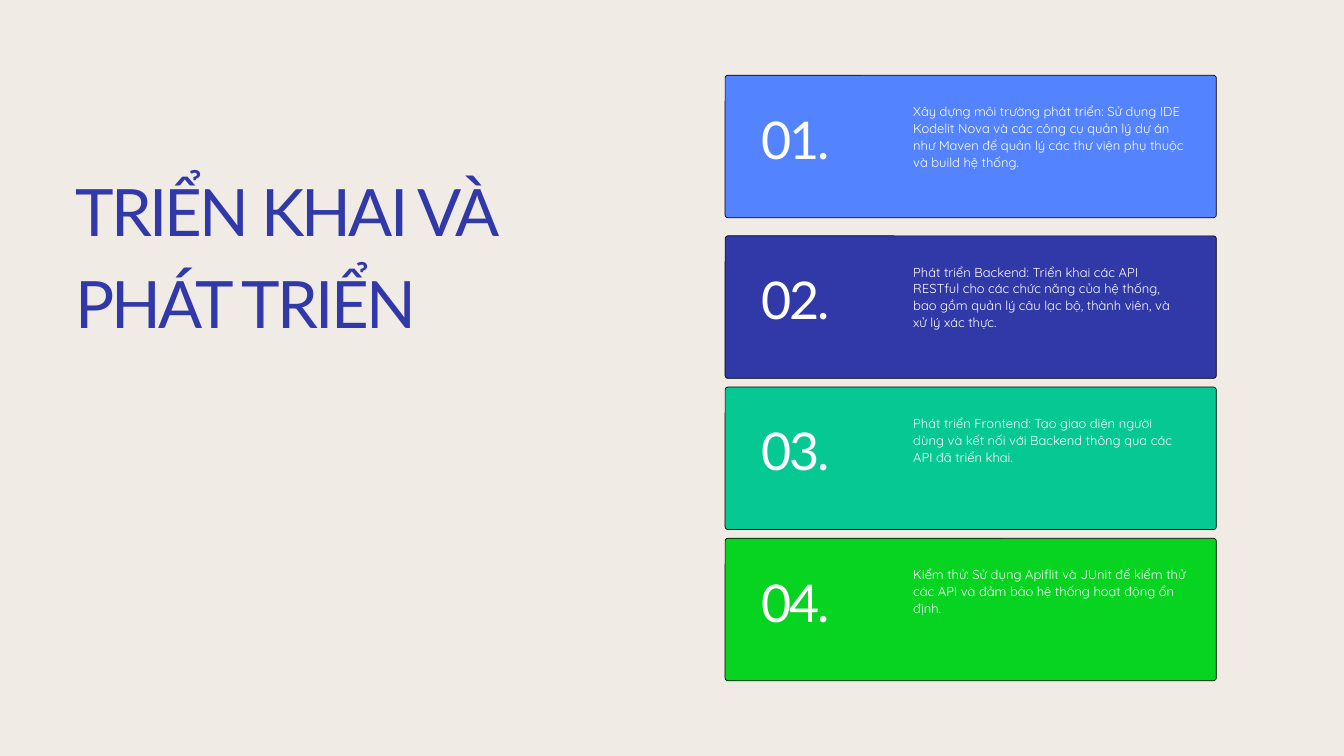
from dataclasses import dataclass

import pptx
import pptx.dml.color
import pptx.enum.shapes
import pptx.enum.text
import pptx.util


@dataclass(frozen=True)
class Theme:
    background: str = "F1EBE5"
    title: str = "3139A8"
    card_text: str = "FFFFFF"
    outline: str = "000000"
    card_fills: tuple = ("5383FF", "3139A8", "06C892", "06D421")
    heading_font: str = "Lato"
    body_font: str = "Quicksand"
    title_size: float = 70
    number_size: float = 55.7
    body_size: float = 13.9


COLUMNS, ROWS = 20, 11.25
CARD_LEFT, CARD_WIDTH, CARD_HEIGHT = 10.79, 7.31, 2.12
CARD_TOPS = (1.12, 3.51, 5.76, 8.01)
STEPS = (
    "Xây dựng môi trường phát triển: Sử dụng IDE Kodelit Nova và các công cụ quản lý dự án "
    "như Maven để quản lý các thư viện phụ thuộc và build hệ thống.",
    "Phát triển Backend: Triển khai các API RESTful cho các chức năng của hệ thống, "
    "bao gồm quản lý câu lạc bộ, thành viên, và xử lý xác thực.",
    "Phát triển Frontend: Tạo giao diện người dùng và kết nối với Backend thông qua các "
    "API đã triển khai.",
    "Kiểm thử: Sử dụng Apiflit và JUnit để kiểm thử các API và đảm bảo hệ thống hoạt động "
    "ổn định.",
)


def color(value):
    return pptx.dml.color.RGBColor.from_string(value)


def write_text(shape, text, *, font, size, fill, line_height, tracking=0):
    frame = shape.text_frame
    frame.word_wrap = True
    frame.auto_size = pptx.enum.text.MSO_AUTO_SIZE.SHAPE_TO_FIT_TEXT
    frame.vertical_anchor = pptx.enum.text.MSO_ANCHOR.TOP
    frame.margin_left = frame.margin_right = frame.margin_top = frame.margin_bottom = 0
    paragraph = frame.paragraphs[0]
    paragraph.alignment = pptx.enum.text.PP_ALIGN.LEFT
    paragraph.line_spacing = pptx.util.Pt(line_height)
    paragraph.space_before = pptx.util.Pt(0)
    run = paragraph.add_run()
    run.text = text
    run.font.name = font
    run.font.size = pptx.util.Pt(size)
    run.font.color.rgb = color(fill)
    if tracking:
        run.font._element.set("spc", str(round(tracking * 100)))


class SlideBuilder:
    def __init__(self, presentation, theme):
        self.theme = theme
        self.column = presentation.slide_width / COLUMNS
        self.row = presentation.slide_height / ROWS
        self.slide = presentation.slides.add_slide(presentation.slide_layouts[5])
        fill = self.slide.background.fill
        fill.solid()
        fill.fore_color.rgb = color(theme.background)

    def box(self, left, top, width, height):
        return (
            round(left * self.column),
            round(top * self.row),
            round(width * self.column),
            round(height * self.row),
        )

    def title(self, text, *place):
        shape = self.slide.shapes.title
        shape.left, shape.top, shape.width, shape.height = self.box(*place)
        write_text(shape, text, font=self.theme.heading_font, size=self.theme.title_size,
                   fill=self.theme.title, line_height=98, tracking=-2.9)

    def panel(self, fill, *place):
        shape = self.slide.shapes.add_shape(
            pptx.enum.shapes.MSO_SHAPE.ROUNDED_RECTANGLE, *self.box(*place))
        shape.adjustments[0] = 0.02
        shape.shadow.inherit = False
        shape.fill.solid()
        shape.fill.fore_color.rgb = color(fill)
        shape.line.color.rgb = color(self.theme.outline)
        shape.line.width = pptx.util.Pt(0.75)

    def label(self, text, *place, **style):
        shape = self.slide.shapes.add_textbox(*self.box(*place))
        write_text(shape, text, fill=self.theme.card_text, **style)

    def card(self, number, text, fill, top):
        self.panel(fill, CARD_LEFT, top, CARD_WIDTH, CARD_HEIGHT)
        self.label(f"{number:02}.", CARD_LEFT + 0.54, top + 0.56, 1.53, 0.86,
                   font=self.theme.heading_font, size=self.theme.number_size,
                   line_height=60.7, tracking=-2.3)
        self.label(text, CARD_LEFT + 2.8, top + 0.4, 4.07, 1,
                   font=self.theme.body_font, size=self.theme.body_size, line_height=18.1)


def main():
    presentation = pptx.Presentation()
    presentation.slide_width = pptx.util.Inches(20)
    presentation.slide_height = pptx.util.Inches(11.25)
    theme = Theme()
    builder = SlideBuilder(presentation, theme)
    builder.title("TRIỂN KHAI VÀ PHÁT TRIỂN", 1.12, 2.36, 8.67, 2.67)
    for number, (text, fill, top) in enumerate(zip(STEPS, theme.card_fills, CARD_TOPS), 1):
        builder.card(number, text, fill, top)
    presentation.save("out.pptx")


if __name__ == "__main__":
    main()
